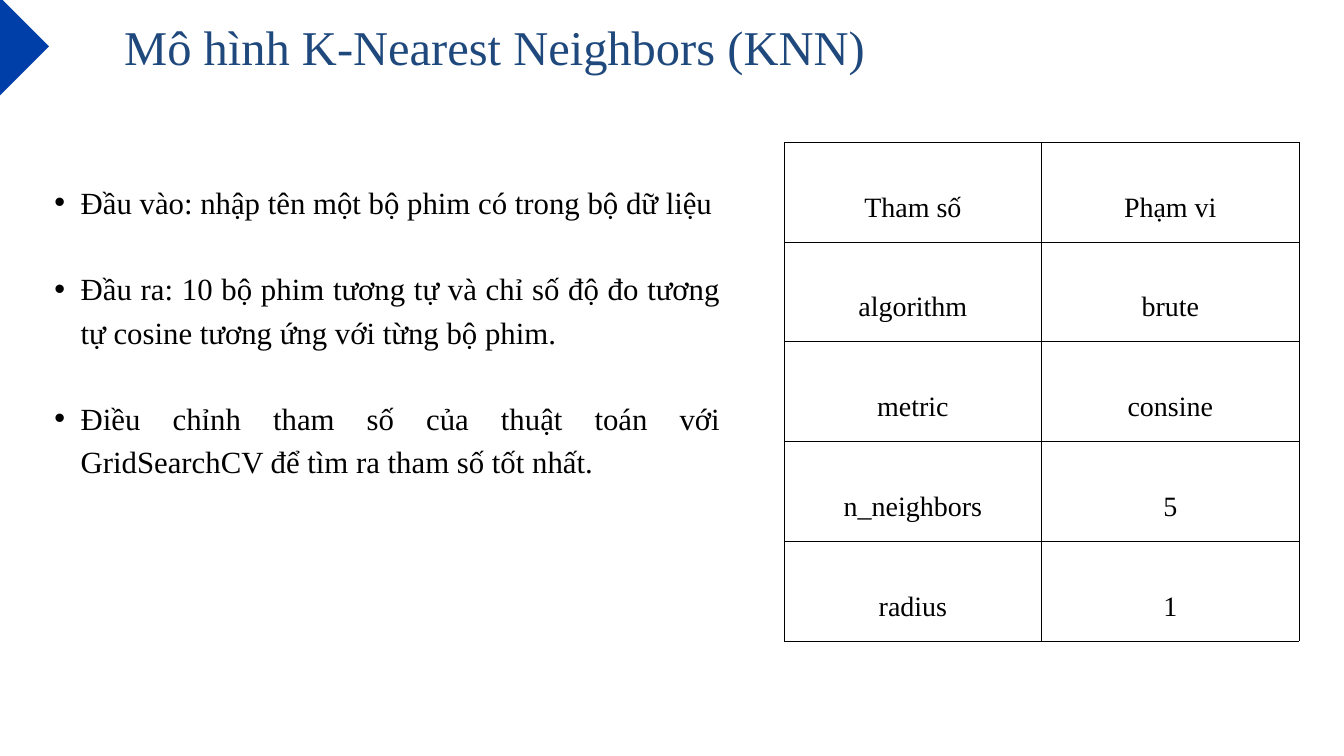
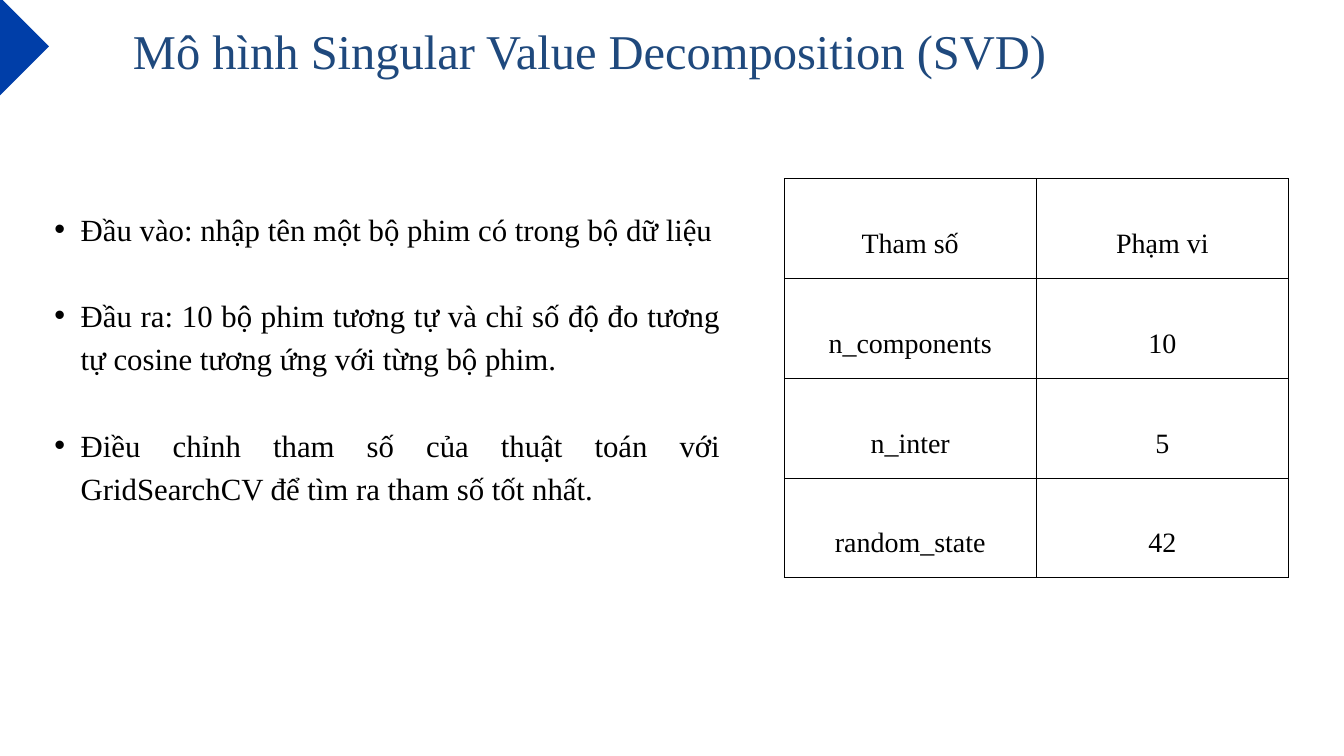
from dataclasses import dataclass

from lxml import etree
from pptx import Presentation
from pptx.dml.color import RGBColor
from pptx.enum import shapes, text
from pptx.oxml import ns
from pptx.util import Cm, Pt


@dataclass(frozen=True)
class Theme:
    font: str = "Times New Roman"
    accent: RGBColor = RGBColor(0x00, 0x3E, 0xA8)
    title: RGBColor = RGBColor(0x1F, 0x49, 0x7D)
    ink: RGBColor = RGBColor(0x00, 0x00, 0x00)
    paper: RGBColor = RGBColor(0xFF, 0xFF, 0xFF)
    title_size: int = 52
    body_size: int = 33
    table_size: int = 30


theme = Theme()


def write(frame, *lines, size, color=theme.ink, align=text.PP_ALIGN.CENTER,
          spacing=None, gap=None, bullet=None):
    frame.word_wrap = True
    for index, line in enumerate(lines):
        paragraph = frame.add_paragraph() if index else frame.paragraphs[0]
        if bullet:
            properties = paragraph._p.get_or_add_pPr()
            properties.set("marL", str(Cm(1.98)))
            properties.set("indent", str(Cm(-0.99)))
            etree.SubElement(properties, ns.qn("a:buFont"), typeface="Arial")
            etree.SubElement(properties, ns.qn("a:buChar"), char=bullet)
            paragraph.level = 1
        paragraph.alignment = align
        paragraph.line_spacing = spacing
        if index and gap:
            paragraph.space_before = gap
        run = paragraph.add_run()
        run.text = line
        run.font.name = theme.font
        run.font.size = Pt(size)
        run.font.bold = False
        run.font.color.rgb = color


def add_frame(slide, left, top, width, height):
    frame = slide.shapes.add_textbox(Cm(left), Cm(top), Cm(width), Cm(height)).text_frame
    frame.margin_left = frame.margin_right = frame.margin_top = frame.margin_bottom = 0
    return frame


bullets = (
    "Đầu vào: nhập tên một bộ phim có trong bộ dữ liệu",
    "Đầu ra: 10 bộ phim tương tự và chỉ số độ đo tương tự cosine tương ứng với từng bộ phim.",
    "Điều chỉnh tham số của thuật toán với GridSearchCV để tìm ra tham số tốt nhất.",
)
header = ("Tham số", "Phạm vi")
row_height = 3.77
models = [
    dict(title="Mô hình K-Nearest Neighbors (KNN)", title_box=(1.12, 0.28, 35.15, 2.39),
         bullets_top=6.71, table_top=5.38, column_width=9.73,
         parameters=[("algorithm", "brute"), ("metric", "consine"),
                     ("n_neighbors", "5"), ("radius", "1")]),
    dict(title="Mô hình Singular Value Decomposition (SVD)", title_box=(1.85, 0.43, 40.89, 2.39),
         bullets_top=7.72, table_top=6.76, column_width=9.53,
         parameters=[("n_components", "10"), ("n_inter", "5"), ("random_state", "42")]),
]

presentation = Presentation()
presentation.slide_width = Cm(50.8)
presentation.slide_height = Cm(28.58)

for model in models:
    slide = presentation.slides.add_slide(presentation.slide_layouts[6])
    slide.background.fill.solid()
    slide.background.fill.fore_color.rgb = theme.paper

    diamond = slide.shapes.add_shape(
        shapes.MSO_SHAPE.DIAMOND, Cm(-2.72), Cm(-0.53), Cm(4.57), Cm(4.57))
    diamond.shadow.inherit = False
    diamond.fill.solid()
    diamond.fill.fore_color.rgb = theme.accent
    diamond.line.fill.background()

    write(add_frame(slide, *model["title_box"]), model["title"],
          size=theme.title_size, color=theme.title, spacing=Pt(72.8))
    write(add_frame(slide, 1.07, model["bullets_top"], 26.16, 11.33), *bullets,
          size=theme.body_size, align=text.PP_ALIGN.JUSTIFY,
          spacing=Pt(46.3), gap=Pt(46.3), bullet="•")

    rows = [header, *model["parameters"]]
    table = slide.shapes.add_table(
        len(rows), len(header), Cm(29.64), Cm(model["table_top"]),
        Cm(model["column_width"] * len(header)), Cm(row_height * len(rows))).table
    table.first_row = table.horz_banding = False
    for column in table.columns:
        column.width = Cm(model["column_width"])
    for row, values in zip(table.rows, rows):
        row.height = Cm(row_height)
        for cell, value in zip(row.cells, values):
            cell.vertical_anchor = text.MSO_ANCHOR.MIDDLE
            write(cell.text_frame, value, size=theme.table_size, spacing=2.0)
            cell_properties = cell._tc.get_or_add_tcPr()
            for side in ("lnL", "lnR", "lnT", "lnB"):
                border = etree.SubElement(cell_properties, ns.qn(f"a:{side}"), w=str(Pt(1)))
                fill = etree.SubElement(border, ns.qn("a:solidFill"))
                etree.SubElement(fill, ns.qn("a:srgbClr"), val=str(theme.ink))
            cell.fill.solid()
            cell.fill.fore_color.rgb = theme.paper

presentation.save("out.pptx")
